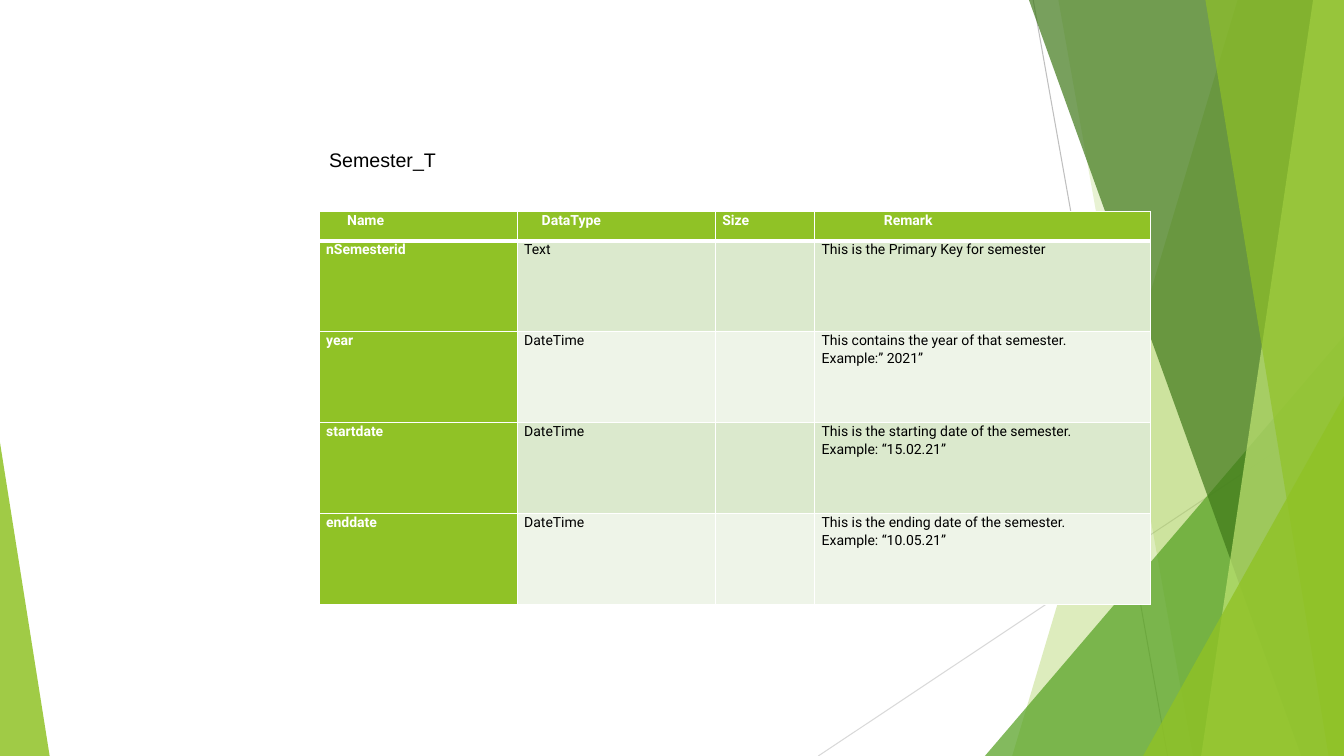
"""Build the Semester_T data dictionary slide."""
import pptx
import pptx.dml.color
import pptx.enum.shapes
import pptx.enum.text
import pptx.oxml
import pptx.oxml.ns
import pptx.util

Pt = pptx.util.Pt
WIDTH, HEIGHT = 960, 540
GREEN, WHITE, BLACK = "90C226", "FFFFFF", "000000"
BANDS = ["DBE9CD", "EEF4E8"]

TITLE = "Semester_T"
HEADERS = ["Name", "DataType", "Size", "Remark"]
HEADER_INDENTS = [15, 12.5, 0, 44.5]
FIELDS = [
    ("nSemesterid", "Text", "", "This is the Primary Key for semester"),
    ("year", "DateTime", "", "This contains the year of that semester.\nExample:” 2021”"),
    ("startdate", "DateTime", "", "This is the starting date of the semester.\nExample: “15.02.21”"),
    ("enddate", "DateTime", "", "This is the ending date of the semester.\nExample: “10.05.21”"),
]
COLUMN_WIDTHS = [141.5, 141.5, 71, 240]
ROW_HEIGHTS = [21] + [65] * len(FIELDS)
TABLE_LEFT, TABLE_TOP = 228, 151

LINES = [
    ((738, 0), (834, HEIGHT), "BFBFBF"),
    ((WIDTH, 290), (584.5, HEIGHT), "D9D9D9"),
]
FACETS = [
    ("band", (884, 723), GREEN, 30),
    ("band", (756, 852), GREEN, 20),
    ("triangle", (703.5, 240, WIDTH, 1), "54A021", 72),
    ("band", (735, 929.5), "3F7819", 70),
    ("band", (938, 858), "C0E474", 70),
    ("band", (861, 949), GREEN, 65),
    ("triangle", (816.5, 283, WIDTH, 1), GREEN, 80),
    ("triangle", (0, 316, 35.5, 0), GREEN, 85),
]


def color(value):
    return pptx.dml.color.RGBColor.from_string(value)


def apply(target, formats):
    for name, value in formats.items():
        setattr(target, name, value)


def write(frame, text, size, font_name, text_color, bold=False, spacing=None, indent=0):
    for index, line in enumerate(text.split("\n")):
        paragraph = frame.add_paragraph() if index else frame.paragraphs[0]
        paragraph.line_spacing = spacing
        if indent:
            paragraph._p.get_or_add_pPr().set("marL", str(Pt(indent)))
        apply(paragraph.font, {"size": Pt(size), "name": font_name, "bold": bold})
        if line:
            run = paragraph.add_run()
            run.text = line
            apply(run.font, {"size": Pt(size), "name": font_name, "bold": bold})
            run.font.color.rgb = color(text_color)


def draw_line(shapes, start, end, line_color):
    kind = pptx.enum.shapes.MSO_CONNECTOR.STRAIGHT
    line = shapes.add_connector(kind, *map(Pt, start + end))
    line.line.width = Pt(0.75)
    line.line.color.rgb = color(line_color)
    line._element.spPr.append(pptx.oxml.parse_xml(
        f'<a:effectLst {pptx.oxml.ns.nsdecls("a")}/>'))


def draw_facet(shapes, kind, geometry, fill_color, opacity):
    if kind == "band":
        top_left, bottom_left = geometry
        builder = shapes.build_freeform(Pt(top_left), 0)
        corners = [(WIDTH, 0), (WIDTH, HEIGHT), (bottom_left, HEIGHT)]
        builder.add_line_segments([(Pt(x), Pt(y)) for x, y in corners])
        shape = builder.convert_to_shape()
    else:
        left, top, right, apex = geometry
        shape = shapes.add_shape(
            pptx.enum.shapes.MSO_SHAPE.ISOSCELES_TRIANGLE,
            Pt(left), Pt(top), Pt(right - left), Pt(HEIGHT - top))
        shape.adjustments[0] = apex
    shape.shadow.inherit = False
    shape.line.fill.background()
    shape.fill.solid()
    shape.fill.fore_color.rgb = color(fill_color)
    tint = shape._element.spPr.find(".//" + pptx.oxml.ns.qn("a:srgbClr"))
    tint.append(pptx.oxml.parse_xml(
        f'<a:alpha {pptx.oxml.ns.nsdecls("a")} val="{opacity * 1000}"/>'))


def format_cell(cell, fill_color, widths):
    apply(cell, {"margin_left": Pt(5), "margin_right": Pt(5),
                 "margin_top": 0, "margin_bottom": 0})
    properties = cell._tc.get_or_add_tcPr()
    for side, width in zip("LRTB", widths):
        properties.append(pptx.oxml.parse_xml(
            f'<a:ln{side} {pptx.oxml.ns.nsdecls("a")} w="{Pt(width)}"><a:solidFill>'
            f'<a:srgbClr val="{WHITE}"/></a:solidFill></a:ln{side}>'))
    cell.fill.solid()
    cell.fill.fore_color.rgb = color(fill_color)


def draw_table(shapes):
    rows = [HEADERS] + FIELDS
    table = shapes.add_table(
        len(rows), len(HEADERS), Pt(TABLE_LEFT), Pt(TABLE_TOP),
        Pt(sum(COLUMN_WIDTHS)), Pt(sum(ROW_HEIGHTS))).table
    for column, width in zip(table.columns, COLUMN_WIDTHS):
        column.width = Pt(width)
    for row_index, row in enumerate(rows):
        table.rows[row_index].height = Pt(ROW_HEIGHTS[row_index])
        header = row_index == 0
        widths = (1, 1, 3 if row_index == 1 else 1, 3 if header else 1)
        for column_index, text in enumerate(row):
            strong = header or column_index == 0
            cell = table.cell(row_index, column_index)
            format_cell(cell, GREEN if strong else BANDS[(row_index - 1) % 2], widths)
            write(cell.text_frame, text, 10, "Roboto", WHITE if strong else BLACK,
                  strong, 1.07, HEADER_INDENTS[column_index] if header else 0)


def main():
    presentation = pptx.Presentation()
    apply(presentation, {"slide_width": Pt(WIDTH), "slide_height": Pt(HEIGHT)})
    shapes = presentation.slides.add_slide(presentation.slide_layouts[6]).shapes
    for line in LINES:
        draw_line(shapes, *line)
    for facet in FACETS:
        draw_facet(shapes, *facet)
    draw_table(shapes)
    title = shapes.add_textbox(Pt(TABLE_LEFT), Pt(101.5), Pt(91.5), Pt(24.5))
    apply(title.text_frame, {
        "word_wrap": False,
        "auto_size": pptx.enum.text.MSO_AUTO_SIZE.SHAPE_TO_FIT_TEXT,
        "vertical_anchor": pptx.enum.text.MSO_ANCHOR.MIDDLE})
    write(title.text_frame, TITLE, 14, "Arial", BLACK)
    presentation.save("out.pptx")


if __name__ == "__main__":
    main()
